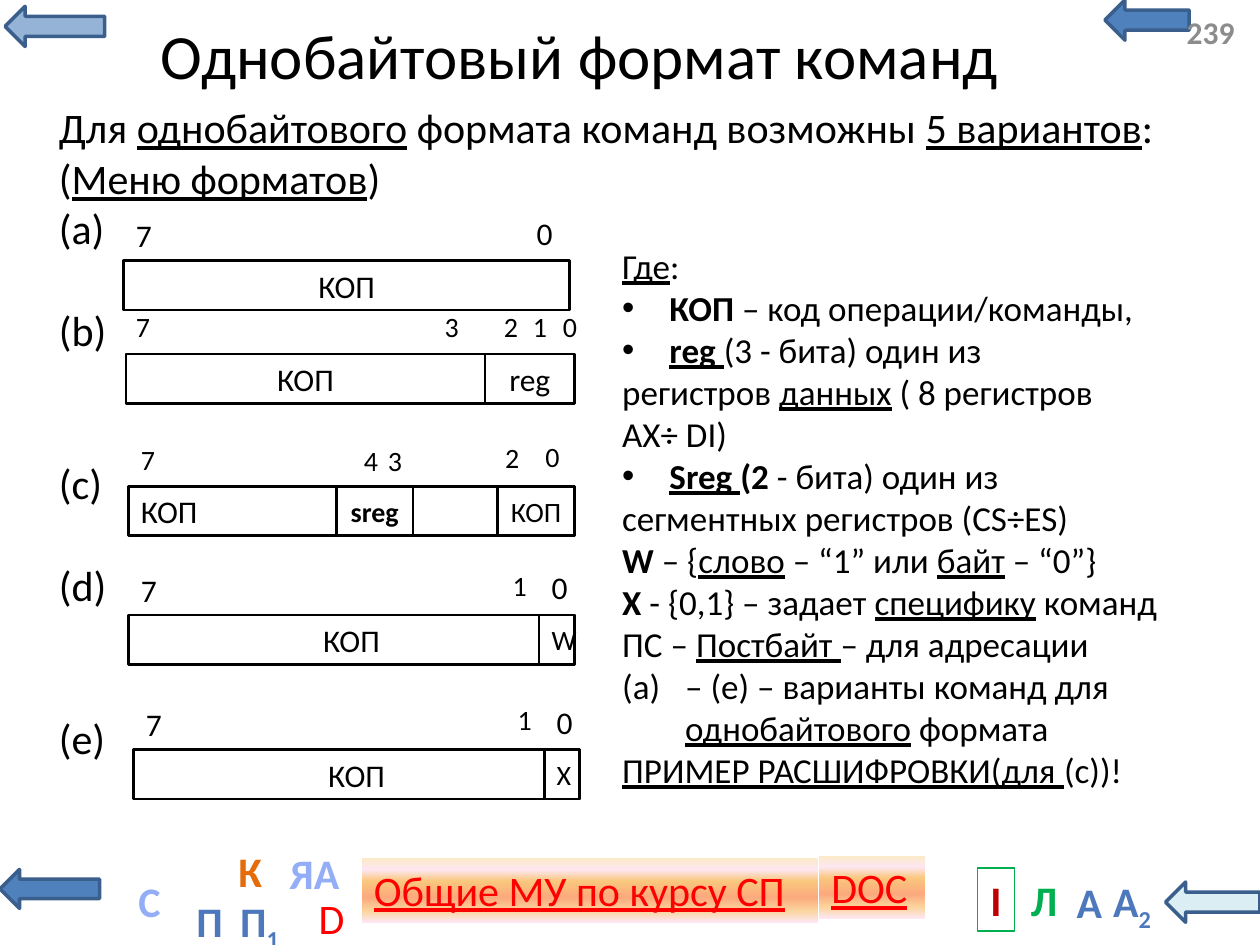
from lxml.etree import SubElement
from pptx import Presentation
from pptx.dml.color import RGBColor
from pptx.enum.shapes import MSO_SHAPE as Preset
from pptx.enum.text import MSO_ANCHOR as Anchor, PP_ALIGN as Align
from pptx.oxml.ns import qn
from pptx.util import Pt

COLORS = {
    "black": "000000", "white": "FFFFFF", "grey": "8C8C8C", "red": "FF0000",
    "dark_red": "C00000", "green": "00B050", "orange": "E46C0A",
    "sky": "93AEF7", "steel": "4D79BC", "blue": "4F81BD",
    "light_blue": "95B3D7", "pale_blue": "DBEEF4", "edge": "3A5F8C",
}
SUNRISE = [(0, "FBEAC7"), (18, "FEE7F2"), (36, "FAC77D"),
           (61, "FBA97D"), (82, "FBD49C"), (100, "FEE7F2")]
LINE_24 = 29.3  # height of one 24 pt line
CELL_HEIGHT = 28.2

# Navigation arrows: left, top, width, height, fill
ARROWS = [
    (631.4, 0, 48.2, 23, "blue"), (0, 496.8, 56.9, 22.3, "blue"),
    (2.9, 3.6, 56.9, 23, "light_blue"), (666, 504, 54, 23, "pale_blue"),
]

# Navigation letters: left, top, width, text, subscript, colour
LETTERS = [
    (607.7, 497.5, 29.5, "А", "", "steel"),
    (128.9, 479.5, 28.1, "К", "", "orange"),
    (581.8, 496.1, 29.5, "Л", "", "green"),
    (627.8, 496.8, 38.2, "А", "2", "steel"),
    (157, 481, 45.4, "ЯА", "", "sky"),
    (105.1, 508.3, 23.8, "П", "", "steel"),
    (128.9, 508.3, 38.9, "П", "1", "steel"),
    (71.3, 496.8, 28.1, "С", "", "sky"),
]

# Text lines: lines skipped before, runs as (text, style)
INTRO = [
    (0, [("Для ", ""), ("однобайтового", "u"), (" формата команд возможны ", ""),
         ("5 вариантов", "u"), (":", "")]),
    (0, [("(", ""), ("Меню форматов", "u"), (")", "")]),
    (0, [("(a)", "")]), (1, [("(b)", "")]), (2, [("(c)", "")]),
    (1, [("(d)", "")]), (2, [("(e)", "")]),
]

# Legend: bullet kind, runs
LEGEND = [
    ("", [("Где", "u"), (":", "")]),
    ("dot", [("КОП", "b"), (" – код операции/команды,", "")]),
    ("dot", [("reg", "bu"), (" ", "u"), ("(3 - бита) один из", "")]),
    ("", [("регистров ", ""), ("данных", "u"), (" ( 8 регистров", "")]),
    ("", [("AX÷ DI)", "")]),
    ("dot", [("Sreg ", "bu"), ("(2", "b"), (" - бита) один из", "")]),
    ("", [("сегментных регистров (CS÷ES)", "")]),
    ("", [("W", "b"), (" – {", ""), ("слово", "u"), (" – “1” или ", ""),
          ("байт", "u"), (" – “0”}", "")]),
    ("", [("X", "b"), (" - {0,1} – задает ", ""), ("специфику", "u"),
          (" команд", "")]),
    ("", [("ПС – ", ""), ("Постбайт ", "u"), ("– для адресации", "")]),
    ("letter", [("– (e) – варианты команд для ", ""), ("однобайтового", "u"),
                (" формата", "")]),
    ("", [("ПРИМЕР РАСШИФРОВКИ(для ", "u"), ("(с))!", "")]),
]


def flag_format(left, top, flag):
    """Opcode byte whose last bit is a one-letter flag."""
    return (left, top,
            [(0, 255, "КОП", 18, ""), (234.7, 20.2, flag, 16, "")],
            [("7", 0, 28.8, 18), ("0", 234.7, 30.2, 18), ("1", 212.4, 30.2, 16)])


# Formats: left, top, cells (offset, width, text, size, style),
# bit numbers (digit, offset, rise above the cells, size)
FORMATS = [
    (70.6, 149, [(0, 255, "КОП", 18, "")],
     [("7", 0, 28.8, 18), ("0", 229, 30.2, 18)]),
    (72, 202.3, [(0, 205.2, "КОП", 18, ""), (205.2, 51.1, "reg", 18, "")],
     [("7", -1.4, 28.8, 16), ("3", 175, 28.8, 16), ("2", 208.8, 28.8, 16),
      ("1", 225.4, 28.8, 16), ("0", 242.6, 28.8, 16)]),
    (73.4, 277.9, [(118.8, 43.9, "sreg", 16, "b"), (0, 255, "КОП", 18, "l"),
                   (211, 43.9, "КОП", 16, "")],
     [("7", 0, 28.8, 16), ("4", 127.4, 28.1, 16), ("3", 141.1, 28.1, 16),
      ("2", 208.1, 29.5, 16), ("0", 231.1, 30.2, 16)]),
    flag_format(73.4, 351.4, "W"),
    flag_format(76.3, 428.4, "X"),
]


def rgb(name):
    return RGBColor.from_string(COLORS[name])


def add_run(paragraph, text, size, color="black", style=""):
    run = paragraph.add_run()
    run.text = text
    font = run.font
    font.name, font.size = "Calibri", Pt(size)
    font.color.rgb = rgb(color)
    font.bold, font.underline = "b" in style, "u" in style
    return run


def add_text(slide, place, align=Align.LEFT, anchor=Anchor.TOP, wrap=True):
    frame = slide.shapes.add_textbox(*map(Pt, place)).text_frame
    frame.word_wrap, frame.vertical_anchor = wrap, anchor
    frame.paragraphs[0].alignment = align
    return frame


def add_shape(slide, preset, place, fill=None, line=None, line_width=0.75):
    shape = slide.shapes.add_shape(preset, *map(Pt, place))
    shape.shadow.inherit = False
    if fill:
        shape.fill.solid()
        shape.fill.fore_color.rgb = rgb(fill)
    else:
        shape.fill.background()
    if line:
        shape.line.color.rgb = rgb(line)
        shape.line.width = Pt(line_width)
    else:
        shape.line.fill.background()
    return shape


def add_rect(slide, place, text, size, color="black", style="", align=Align.CENTER,
             anchor=Anchor.TOP, line=None, line_width=0.75):
    rect = add_shape(slide, Preset.RECTANGLE, place, None, line, line_width)
    frame = rect.text_frame
    frame.vertical_anchor = anchor
    frame.paragraphs[0].alignment = align
    add_run(frame.paragraphs[0], text, size, color, style)
    return rect


def add_button(slide, place, text):
    button = add_rect(slide, place, text, 24, "red", "u", Align.LEFT)
    button.fill.gradient()
    button.fill.gradient_angle = 270
    stops = button.fill._xPr.find(".//" + qn("a:gsLst"))
    for stop in list(stops):
        stops.remove(stop)
    for percent, shade in SUNRISE:
        stop = SubElement(stops, qn("a:gs"), pos=str(percent * 1000))
        SubElement(stop, qn("a:srgbClr"), val=shade)


def add_letter(slide, left, top, width, text, subscript, color):
    frame = add_text(slide, (left, top, width, 36), Align.CENTER, wrap=False)
    add_run(frame.paragraphs[0], text, 24, color, "b")
    if subscript:
        run = add_run(frame.paragraphs[0], subscript, 24, color, "b")
        run.font._element.set("baseline", "-25000")


def set_bullet(paragraph, kind):
    indent = Pt(27 if kind == "dot" else 36)
    props = paragraph._p.get_or_add_pPr()
    props.set("marL", str(indent))
    props.set("indent", str(-indent))
    if kind == "dot":
        SubElement(props, qn("a:buFont"), typeface="Arial")
        SubElement(props, qn("a:buChar"), char="•")
    else:
        SubElement(props, qn("a:buAutoNum"), type="alphaLcParenBoth")


def add_paragraphs(frame, lines, size):
    """Lines carry either a count of skipped lines or a bullet kind."""
    for number, (lead, runs) in enumerate(lines):
        paragraph = frame.add_paragraph() if number else frame.paragraphs[0]
        if isinstance(lead, str) and lead:
            set_bullet(paragraph, lead)
        elif lead:
            paragraph.space_before = Pt(lead * LINE_24)
        for text, style in runs:
            add_run(paragraph, text, size, style=style)


def add_format(slide, left, top, cells, bits):
    for offset, width, text, size, style in cells:
        add_rect(slide, (left + offset, top, width, CELL_HEIGHT), text, size,
                 style=style, align=Align.LEFT if "l" in style else Align.CENTER,
                 anchor=Anchor.MIDDLE, line="black", line_width=1.5)
    for digit, offset, rise, size in bits:
        place = (left + offset, top - rise, 23.5, 28.8 if size == 18 else 26.6)
        add_run(add_text(slide, place, wrap=False).paragraphs[0], digit, size)


def main():
    deck = Presentation()
    deck.slide_width, deck.slide_height = Pt(720), Pt(540)
    slide = deck.slides.add_slide(deck.slide_layouts[6])

    # Navigation
    for *place, fill in ARROWS:
        add_shape(slide, Preset.LEFT_ARROW, place, fill, "edge", 2)
    add_button(slide, (206.6, 490.3, 260.6, 36.7), "Общие МУ по курсу СП")
    add_button(slide, (468, 488.9, 60.5, 36), "DOC")
    add_rect(slide, (175, 506.2, 28.1, 36), "D", 24, "red", line="white")
    add_rect(slide, (558.7, 496.1, 20.9, 36), "I", 24, "dark_red", "b", line="green")
    for letter in LETTERS:
        add_letter(slide, *letter)

    # Title and page number
    title = add_text(slide, (67.7, 3.6, 527, 55.4), Align.CENTER, Anchor.MIDDLE)
    add_run(title.paragraphs[0], "Однобайтовый формат команд", 36)
    page = add_text(slide, (671, 3.6, 46, 28.8), anchor=Anchor.MIDDLE)
    add_run(page.paragraphs[0], "239", 18, "grey", "b")

    # Format list, legend and bit layouts
    add_paragraphs(add_text(slide, (26.6, 54.7, 693.4, 385.2)), INTRO, 24)
    add_paragraphs(add_text(slide, (348.5, 136.1, 362.9, 322.6)), LEGEND, 20)
    for layout in FORMATS:
        add_format(slide, *layout)

    deck.save("out.pptx")


if __name__ == "__main__":
    main()
